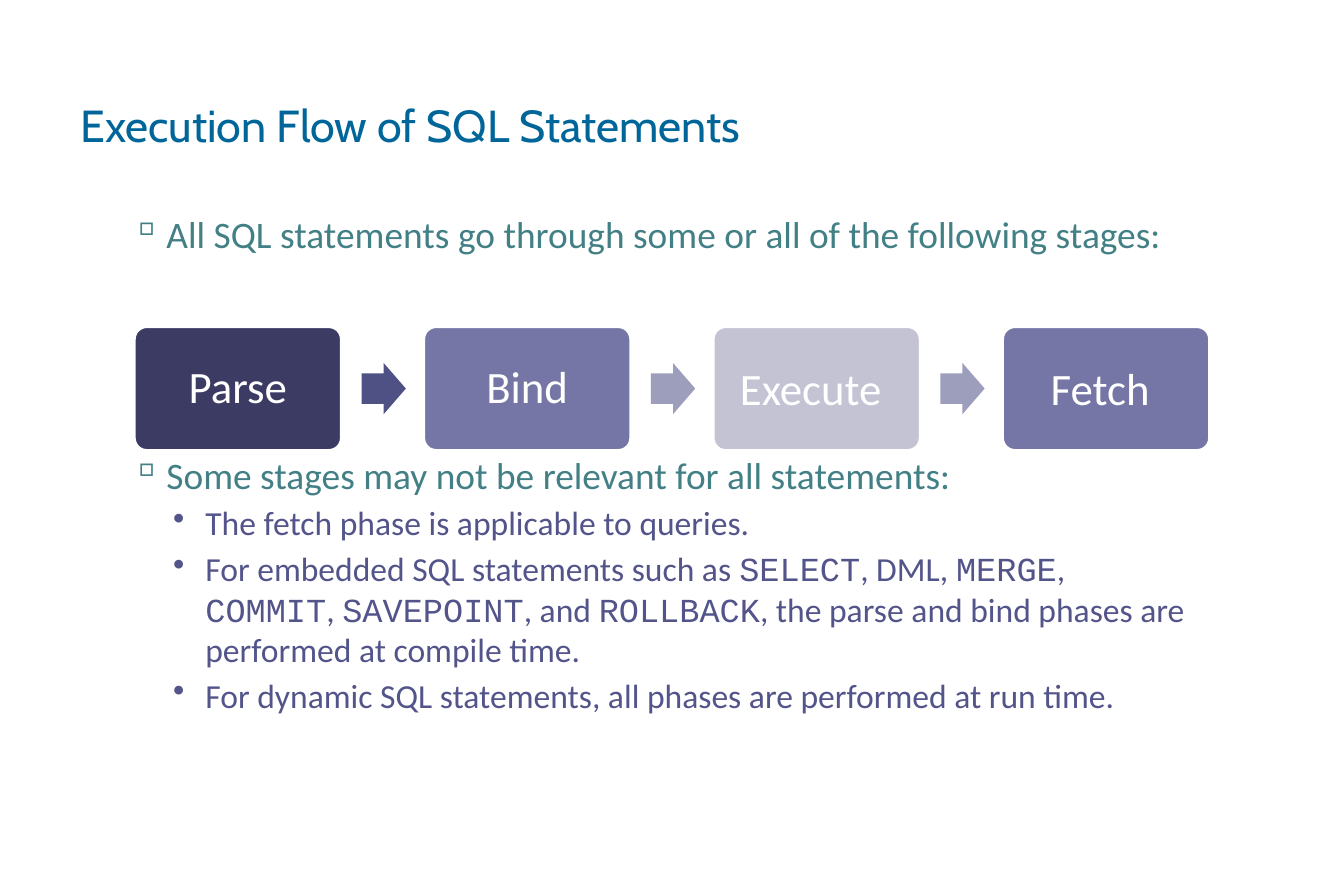
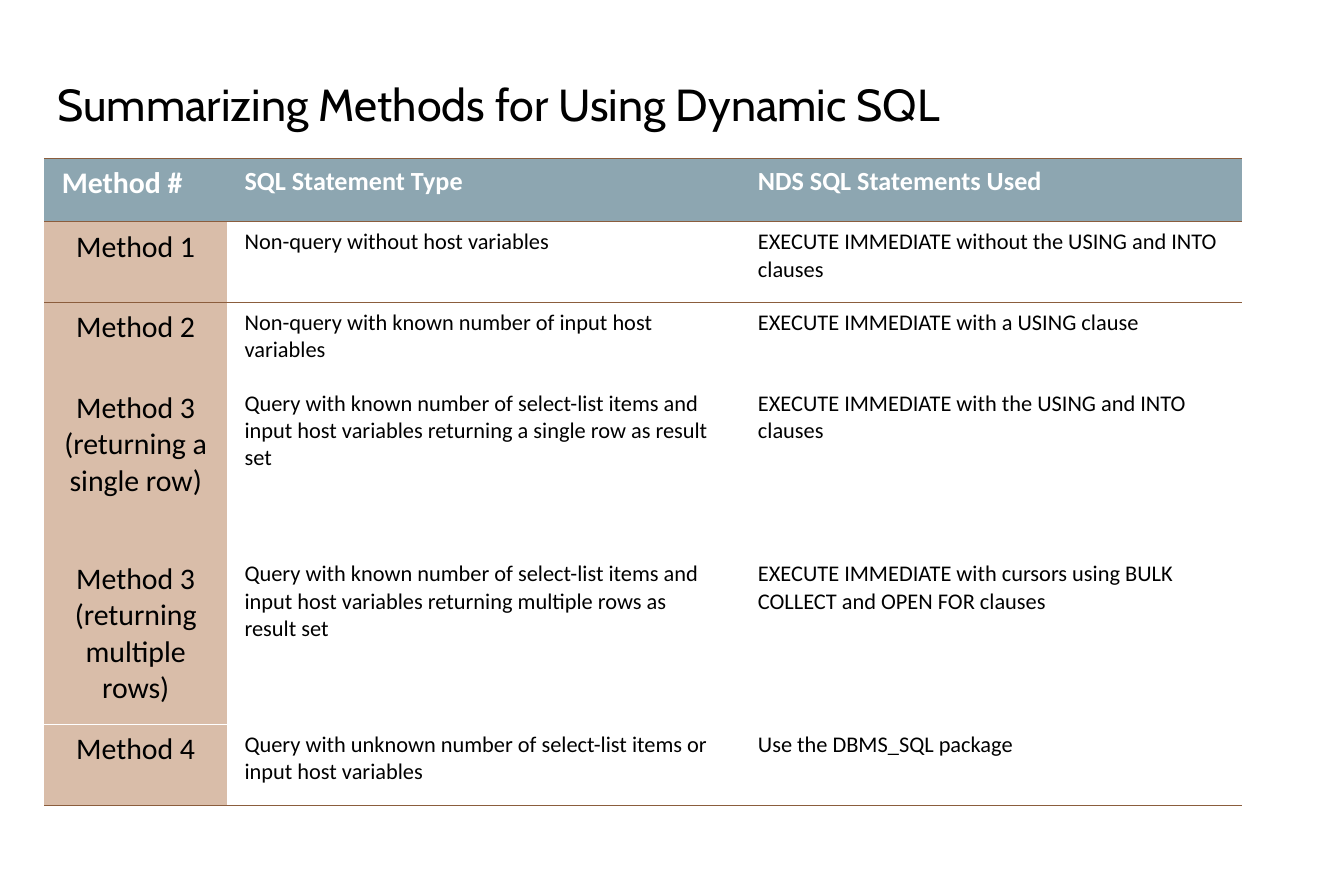
import pptx
import pptx.util
import pptx.dml.color
import pptx.enum.shapes
import pptx.enum.text
import pptx.oxml
from lxml import etree

Inches, Pt = pptx.util.Inches, pptx.util.Pt
SHAPE = pptx.enum.shapes.MSO_SHAPE
ALIGN = pptx.enum.text.PP_ALIGN
ANCHOR = pptx.enum.text.MSO_ANCHOR
DRAWING = "http://schemas.openxmlformats.org/drawingml/2006/main"

WIDTH, HEIGHT = 10, 6.53
HEAD_FONT, BODY_FONT, CODE_FONT = "Cabin", "Calibri", "Courier New"
WHITE, BLACK, BLUE = "FFFFFF", "000000", "006699"
TEAL, INDIGO = "438086", "53548A"
STEEL, SAND, BROWN = "8DA6B1", "D9BDA9", "8B5D3D"

# Each bullet: level, space before, runs; every second run is code.
BULLETS = [
    ("point", 0, ["All SQL statements go through some or all of the following stages:"]),
    ("point", 105, ["Some stages may not be relevant for all statements:"]),
    ("detail", 3, ["The fetch phase is applicable to queries."]),
    ("detail", 3, ["For embedded SQL statements such as ", "SELECT", ", DML, ", "MERGE", ", ",
                   "COMMIT", ", ", "SAVEPOINT", ", and ", "ROLLBACK",
                   ", the parse and bind phases are performed at compile time."]),
    ("detail", 3, ["For dynamic SQL statements, all phases are performed at run time."]),
]
# Level: bullet sign, left margin, hanging indent, size, colour
LEVELS = {
    "point": ("▫", 0.72, 0.27, 20, TEAL),
    "detail": ("•", 1.01, 0.24, 18, INDIGO),
}

# Stage: runs with sizes, fill, colour of the arrow that follows
STAGES = [
    ([("Parse", 24)], "3B3B64", "4F5083"),
    ([("Bind", 24)], "7576A5", "9D9EBC"),
    ([("Execute", 24), (" ", 28)], "C3C3D4", "9D9EBC"),
    ([("Fetch", 24), (" ", 28)], "7576A5", None),
]
FLOW_LEFT, FLOW_RIGHT, FLOW_MIDDLE = 1, 9, 2.89
STAGE_SIZE = (1.54, 0.92)
ARROW_SIZE, ARROW_GAP = (0.33, 0.38), 0.15

METHODS = [
    ("Method #", "SQL Statement Type", "NDS SQL Statements Used"),
    ("Method 1", "Non-query without host variables",
     "EXECUTE IMMEDIATE without the USING and INTO clauses"),
    ("Method 2", "Non-query with known number of input host variables",
     "EXECUTE IMMEDIATE with a USING clause"),
    ("Method 3 (returning a single row)",
     "Query with known number of select-list items and input host variables "
     "returning a single row as result set",
     "EXECUTE IMMEDIATE with the USING and INTO clauses"),
    ("Method 3 (returning multiple rows)",
     "Query with known number of select-list items and input host variables "
     "returning multiple rows as result set",
     "EXECUTE IMMEDIATE with cursors using BULK COLLECT and OPEN FOR clauses"),
    ("Method 4", "Query with unknown number of select-list items or input host variables",
     "Use the DBMS_SQL package"),
]
COLUMN_WIDTHS = [1.36, 3.82, 3.73]
ROW_HEIGHTS = [0.47, 0.6, 0.6, 1.27, 1.27, 0.6]
# Horizontal rules, counted from the top edge of the table
RULES = {0: BROWN, 1: BROWN, 5: WHITE, 6: BROWN}
PLAIN_TABLE = "{2D5ABB26-0587-4C30-8999-92F81FD0307C}"


def color(value):
    return pptx.dml.color.RGBColor.from_string(value)


def add_run(para, text, size, fill, font=BODY_FONT, bold=False):
    span = para.add_run()
    span.text = text
    span.font.size, span.font.name, span.font.bold = Pt(size), font, bold
    span.font.color.rgb = color(fill)


def add_text_box(page, left, top, width, height, anchor=ANCHOR.TOP):
    box = page.shapes.add_textbox(*map(Inches, (left, top, width, height)))
    box.text_frame.word_wrap = True
    box.text_frame.vertical_anchor = anchor
    return box.text_frame


def add_title(page, text, place, fill, anchor):
    frame = add_text_box(page, *place, anchor)
    add_run(frame.paragraphs[0], text, 24, fill, HEAD_FONT)


def add_shape(page, kind, left, size, fill):
    """Place a flat shape on the middle line of the flow."""
    width, height = size
    shape = page.shapes.add_shape(
        kind, *map(Inches, (left, FLOW_MIDDLE - height / 2, width, height)))
    shape.shadow.inherit = False
    shape.fill.solid()
    shape.fill.fore_color.rgb = color(fill)
    shape.line.fill.background()
    return shape


def set_bullet(para, sign, margin, hang, fill):
    props = para._p.get_or_add_pPr()
    props.set("marL", str(Inches(margin)))
    props.set("indent", str(-Inches(hang)))
    tint = etree.SubElement(props, f"{{{DRAWING}}}buClr")
    etree.SubElement(tint, f"{{{DRAWING}}}srgbClr", val=fill)
    etree.SubElement(props, f"{{{DRAWING}}}buChar", char=sign)


def add_bullets(page):
    frame = add_text_box(page, 0.42, 1.52, 8.5, 4.67)
    for index, (level, space, texts) in enumerate(BULLETS):
        para = frame.add_paragraph() if index else frame.paragraphs[0]
        sign, margin, hang, size, fill = LEVELS[level]
        set_bullet(para, sign, margin, hang, fill)
        if space:
            para.space_before = Pt(space)
        for order, text in enumerate(texts):
            add_run(para, text, size, fill, CODE_FONT if order % 2 else BODY_FONT)


def add_flow(page):
    step = (FLOW_RIGHT - FLOW_LEFT - STAGE_SIZE[0]) / (len(STAGES) - 1)
    for index, (texts, fill, arrow_fill) in enumerate(STAGES):
        left = FLOW_LEFT + index * step
        stage = add_shape(page, SHAPE.ROUNDED_RECTANGLE, left, STAGE_SIZE, fill)
        stage.adjustments[0] = 0.1
        stage.line.color.rgb = color(WHITE)
        stage.line.width = Pt(1.5)
        frame = stage.text_frame
        frame.word_wrap = True
        frame.vertical_anchor = ANCHOR.MIDDLE
        frame.margin_left = frame.margin_right = Inches(0.15)
        frame.margin_top = frame.margin_bottom = Inches(0.15)
        para = frame.paragraphs[0]
        para.alignment, para.line_spacing = ALIGN.CENTER, 0.9
        for text, size in texts:
            add_run(para, text, size, WHITE)
        if arrow_fill:
            arrow = add_shape(page, SHAPE.RIGHT_ARROW, left + STAGE_SIZE[0] + ARROW_GAP,
                              ARROW_SIZE, arrow_fill)
            arrow.adjustments[0], arrow.adjustments[1] = 0.6, 0.5


def add_rule(cell, side, fill):
    line = etree.SubElement(cell._tc.get_or_add_tcPr(), f"{{{DRAWING}}}{side}",
                            w=str(Pt(0.45)))
    solid = etree.SubElement(line, f"{{{DRAWING}}}solidFill")
    etree.SubElement(solid, f"{{{DRAWING}}}srgbClr", val=fill)


def style_cell(cell, text, row, column):
    cell.margin_left = cell.margin_right = Inches(0.13)
    cell.margin_top = cell.margin_bottom = Inches(0.05)
    for side, edge in (("lnT", row), ("lnB", row + 1)):
        if edge in RULES:
            add_rule(cell, side, RULES[edge])
    header, first = row == 0, column == 0
    if header or first:
        cell.fill.solid()
        cell.fill.fore_color.rgb = color(STEEL if header else SAND)
    else:
        cell.fill.background()
    para = cell.text_frame.paragraphs[0]
    para.alignment = ALIGN.CENTER if first and not header else ALIGN.LEFT
    size = 16 if first else 14 if header else 12
    add_run(para, text, size, WHITE if header else BLACK, bold=header)


def add_methods_table(page):
    frame = page.shapes.add_table(
        len(ROW_HEIGHTS), len(COLUMN_WIDTHS), Inches(0.33), Inches(1.18),
        Inches(sum(COLUMN_WIDTHS)), Inches(sum(ROW_HEIGHTS)))
    table = frame.table
    table.first_row = table.horz_banding = False
    table._tbl.tblPr.find(f"{{{DRAWING}}}tableStyleId").text = PLAIN_TABLE
    for column, width in zip(table.columns, COLUMN_WIDTHS):
        column.width = Inches(width)
    for row, (height, texts) in enumerate(zip(ROW_HEIGHTS, METHODS)):
        table.rows[row].height = Inches(height)
        for column, text in enumerate(texts):
            style_cell(table.cell(row, column), text, row, column)


def main():
    deck = pptx.Presentation()
    deck.slide_width, deck.slide_height = Inches(WIDTH), Inches(HEIGHT)
    blank = deck.slide_layouts[6]

    page = deck.slides.add_slide(blank)
    add_title(page, "Execution Flow of SQL Statements", (0.5, 0.58, 9, 0.69), BLUE, ANCHOR.MIDDLE)
    add_bullets(page)
    add_flow(page)

    page = deck.slides.add_slide(blank)
    add_title(page, "Summarizing Methods for Using Dynamic SQL", (0.33, 0.52, 7.17, 0.9),
              BLACK, ANCHOR.TOP)
    add_methods_table(page)

    deck.save("out.pptx")


if __name__ == "__main__":
    main()
